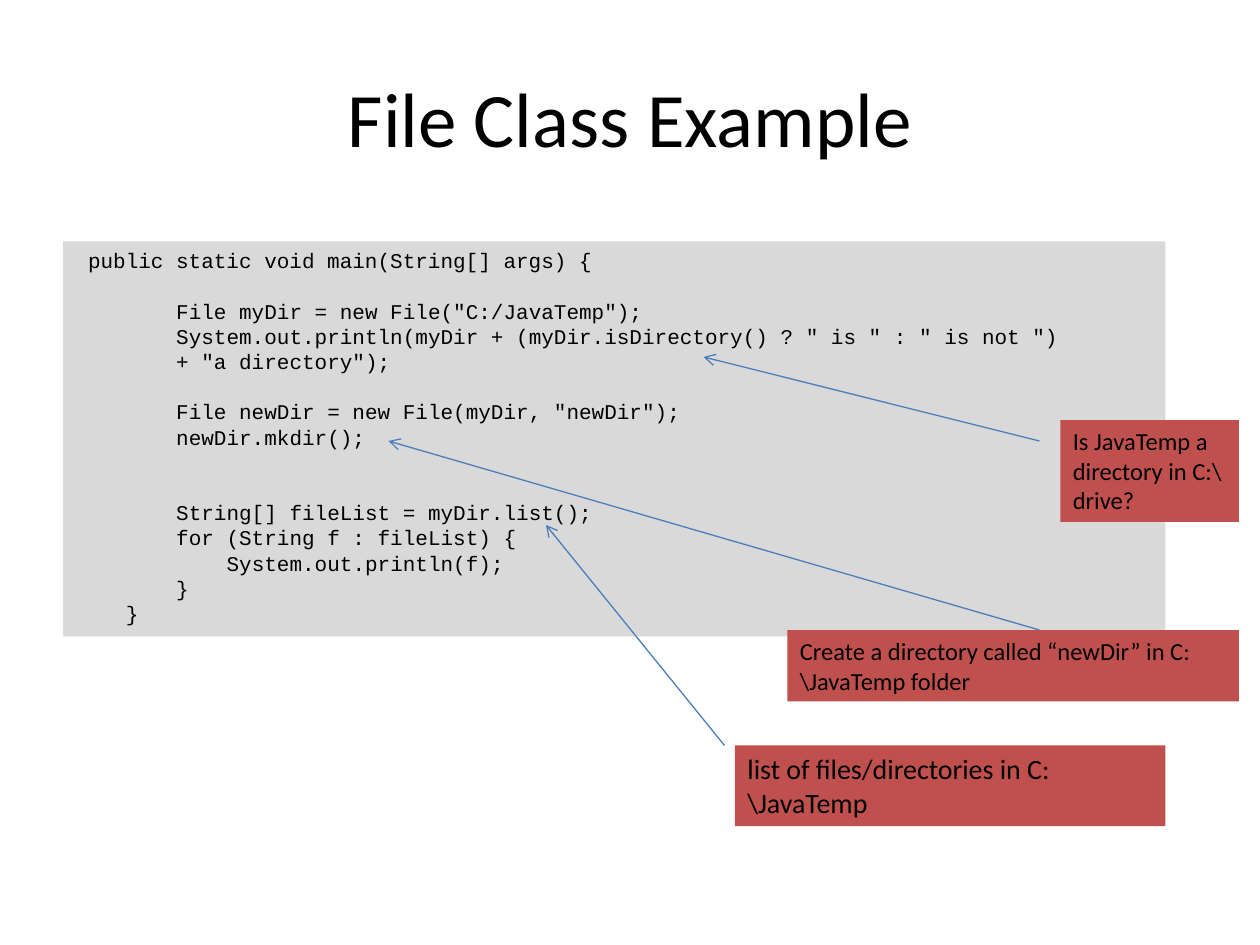
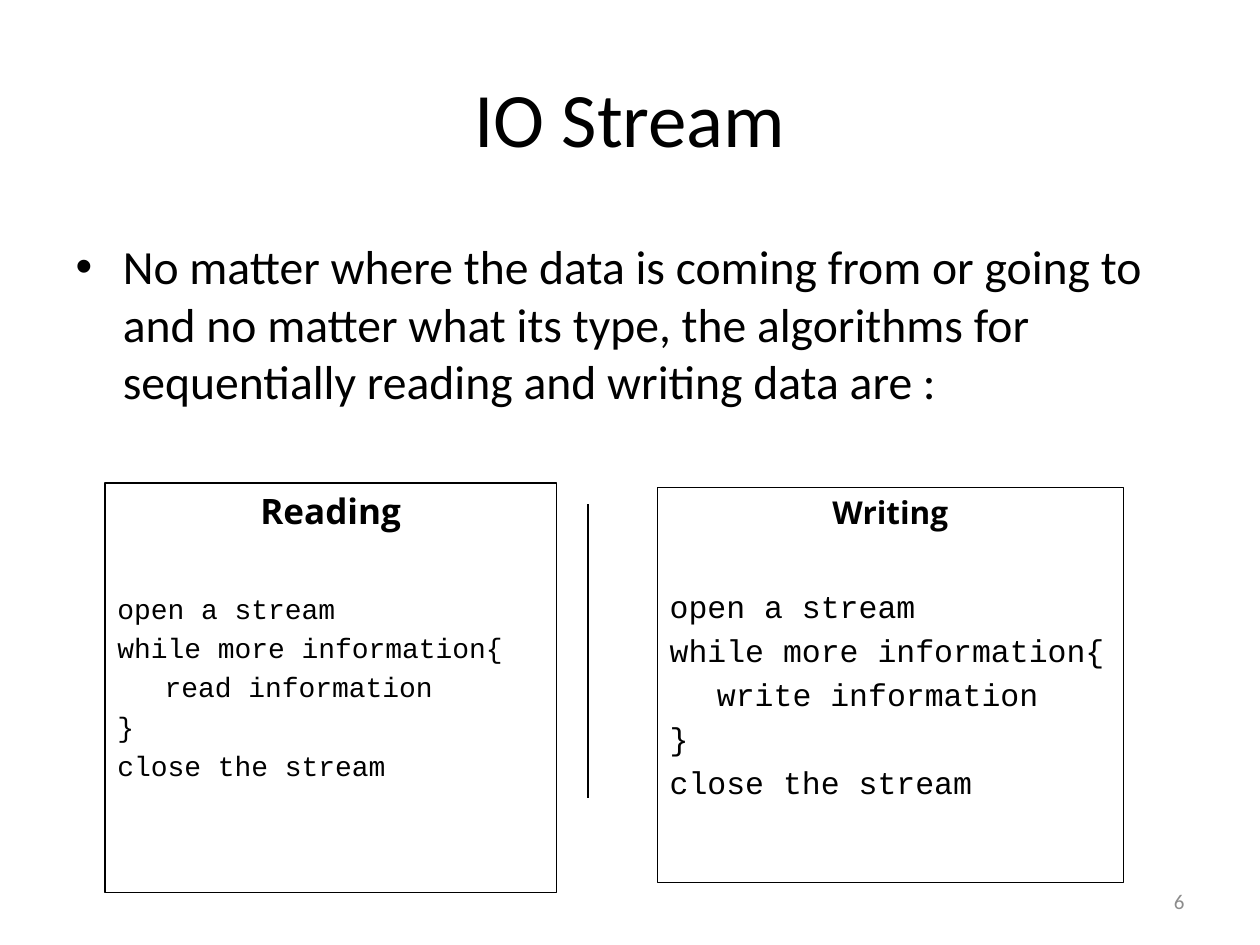
from dataclasses import dataclass

from lxml import etree
from pptx import Presentation
from pptx.dml.color import RGBColor
from pptx.enum.shapes import MSO_CONNECTOR, MSO_SHAPE
from pptx.enum.text import MSO_ANCHOR, MSO_AUTO_SIZE, PP_ALIGN
from pptx.oxml.ns import qn
from pptx.util import Pt

RECT = MSO_SHAPE.RECTANGLE
STRAIGHT = MSO_CONNECTOR.STRAIGHT
TOP, MIDDLE = MSO_ANCHOR.TOP, MSO_ANCHOR.MIDDLE
LEFT, CENTER, RIGHT = PP_ALIGN.LEFT, PP_ALIGN.CENTER, PP_ALIGN.RIGHT
FIXED = MSO_AUTO_SIZE.NONE

SCALE = 7620  # EMU per px, 120 px to the inch
CHAR = 12  # px per character of 12 pt code
TITLE_ONLY, TITLE_BODY = 5, 1


@dataclass(frozen=True)
class Theme:
    ink: str = "000000"
    panel: str = "D9D9D9"
    note: str = "C0504D"
    arrow: str = "4B7EBC"
    muted: str = "8C8C8C"
    sans: str = "Calibri"
    mono: str = "Courier New"
    head: str = "Open Sans"
    title: float = 44
    body: float = 27.2
    code: float = 12
    small: float = 12
    thin: float = 0.25
    line: float = 0.75


def emu(*px):
    return [n * SCALE for n in px]


def color(text):
    return RGBColor.from_string(text)


class Deck:
    def __init__(self, theme):
        self.theme = theme
        self.file = Presentation()
        self.file.slide_width, self.file.slide_height = emu(1200, 900)
        self.slide = None

    def style(self, para, size, font=None, ink=None, bold=False, align=LEFT):
        para.alignment = align
        para.font.size = Pt(size)
        para.font.name = font or self.theme.sans
        para.font.bold = bold
        para.font.color.rgb = color(ink or self.theme.ink)

    def place(self, shape, box, text, size, align=LEFT):
        shape.left, shape.top, shape.width, shape.height = emu(*box)
        frame = shape.text_frame
        frame.word_wrap = True
        frame.auto_size = FIXED
        frame.text = text
        self.style(frame.paragraphs[0], size, align=align)
        return frame

    def start(self, layout, title):
        self.slide = self.file.slides.add_slide(self.file.slide_layouts[layout])
        frame = self.place(self.slide.shapes.title, (60, 36, 1080, 150),
                           title, self.theme.title, CENTER)
        frame.vertical_anchor = MIDDLE

    def body(self, box, text):
        self.place(self.slide.placeholders[1], box, text, self.theme.body)

    def number(self, text):
        shape = self.slide.shapes.add_textbox(*emu(860, 834, 280, 48))
        frame = shape.text_frame
        frame.text = text
        frame.word_wrap = True
        frame.vertical_anchor = MIDDLE
        self.style(frame.paragraphs[0], self.theme.small,
                   ink=self.theme.muted, align=RIGHT)

    def box(self, box, fill=None, line=None):
        """Add a rectangle and return its text frame."""
        shape = self.slide.shapes.add_shape(RECT, *emu(*box))
        shape.shadow.inherit = False
        if fill:
            shape.fill.solid()
            shape.fill.fore_color.rgb = color(fill)
        else:
            shape.fill.background()
        if line:
            shape.line.color.rgb = color(self.theme.ink)
            shape.line.width = Pt(line)
        else:
            shape.line.fill.background()
        frame = shape.text_frame
        frame.word_wrap = True
        frame.vertical_anchor = TOP
        return frame

    def lines(self, frame, rows, size, first=True):
        """Fill a frame with code rows of (indent px, space before pt, text)."""
        for indent, gap, text in rows:
            para = frame.paragraphs[0] if first else frame.add_paragraph()
            first = False
            para.text = text
            para.space_before = Pt(gap)
            self.style(para, size, self.theme.mono)
            para._p.get_or_add_pPr().set("marL", str(indent * SCALE))

    def note(self, box, text, size):
        frame = self.box(box, self.theme.note)
        frame.text = text
        self.style(frame.paragraphs[0], size)

    def rule(self, start, end, ink, arrow=False):
        link = self.slide.shapes.add_connector(STRAIGHT, *emu(*start, *end))
        link.line.color.rgb = color(ink)
        link.line.width = Pt(self.theme.line)
        if arrow:
            tail = etree.SubElement(link.line._get_or_add_ln(), qn("a:tailEnd"))
            tail.set("type", "arrow")
        etree.SubElement(link._element.spPr, qn("a:effectLst"))

    def recipe(self, box, line, head, verb, size, code):
        frame = self.box(box, line=line)
        frame.text = head
        self.style(frame.paragraphs[0], size, self.theme.head,
                   bold=True, align=CENTER)
        gap = round(code * 0.2, 2)
        rows = [(0, round(gap + size * 1.56, 2), "open a stream"),
                (0, gap, "while more information{"),
                (45, gap, f"{verb} information"),
                (0, gap, "}"),
                (0, gap, "close the stream")]
        self.lines(frame, rows, code, first=False)


# Indent in characters, blank lines before, text
CODE = [
    (1, 0, "public static void main(String[] args) {"),
    (8, 1, 'File myDir = new File("C:/JavaTemp");'),
    (8, 0, 'System.out.println(myDir + (myDir.isDirectory() ? " is " : " is not ")'),
    (8, 0, '+ "a directory");'),
    (8, 1, 'File newDir = new File(myDir, "newDir");'),
    (8, 0, "newDir.mkdir();"),
    (8, 2, "String[] fileList = myDir.list();"),
    (8, 0, "for (String f : fileList) {"),
    (12, 0, "System.out.println(f);"),
    (8, 0, "}"),
    (4, 0, "}"),
]

# Arrow start, arrow end, note box, text, size
NOTES = [
    ((990, 420), (670, 340), (1010, 400, 170, 97),
     "Is JavaTemp a directory in C:\\ drive?", 14),
    ((990, 600), (370, 420), (750, 600, 430, 68),
     "Create a directory called “newDir” in C:\\JavaTemp folder", 14),
    ((690, 710), (520, 500), (700, 710, 410, 77),
     "list of files/directories in C:\\JavaTemp", 16),
]


def example(deck):
    theme = deck.theme
    deck.start(TITLE_ONLY, "File Class Example")
    rows = [(col * CHAR, skip * theme.code * 1.2, text)
            for col, skip, text in CODE]
    deck.lines(deck.box((60, 230, 1050, 376), theme.panel), rows, theme.code)
    for start, end, box, text, size in NOTES:
        deck.rule(start, end, theme.arrow, arrow=True)
        deck.note(box, text, size)


def stream(deck):
    theme = deck.theme
    deck.start(TITLE_BODY, "IO Stream")
    deck.body((60, 220, 1080, 200),
              "No matter where the data is coming from or going to and no matter "
              "what its type, the algorithms for sequentially reading and writing "
              "data are :")
    deck.number("6")
    deck.recipe((100, 460, 430, 390), theme.line, "Reading", "read", 20, 16)
    deck.recipe((626, 464, 444, 376), theme.thin, "Writing", "write", 18, 18)
    deck.rule((560, 480), (560, 760), theme.ink)


def main():
    deck = Deck(Theme())
    example(deck)
    stream(deck)
    deck.file.save("out.pptx")


if __name__ == "__main__":
    main()
